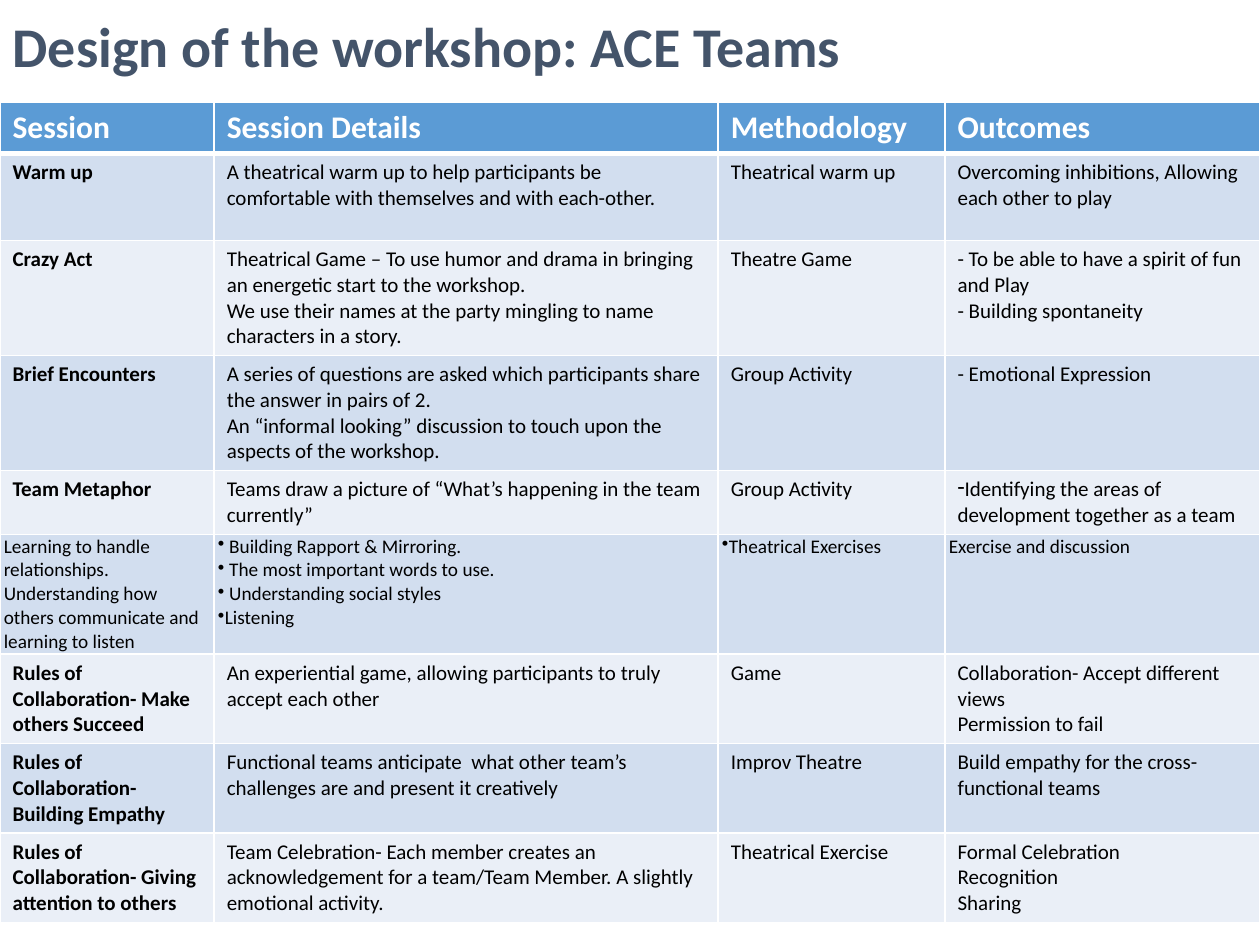
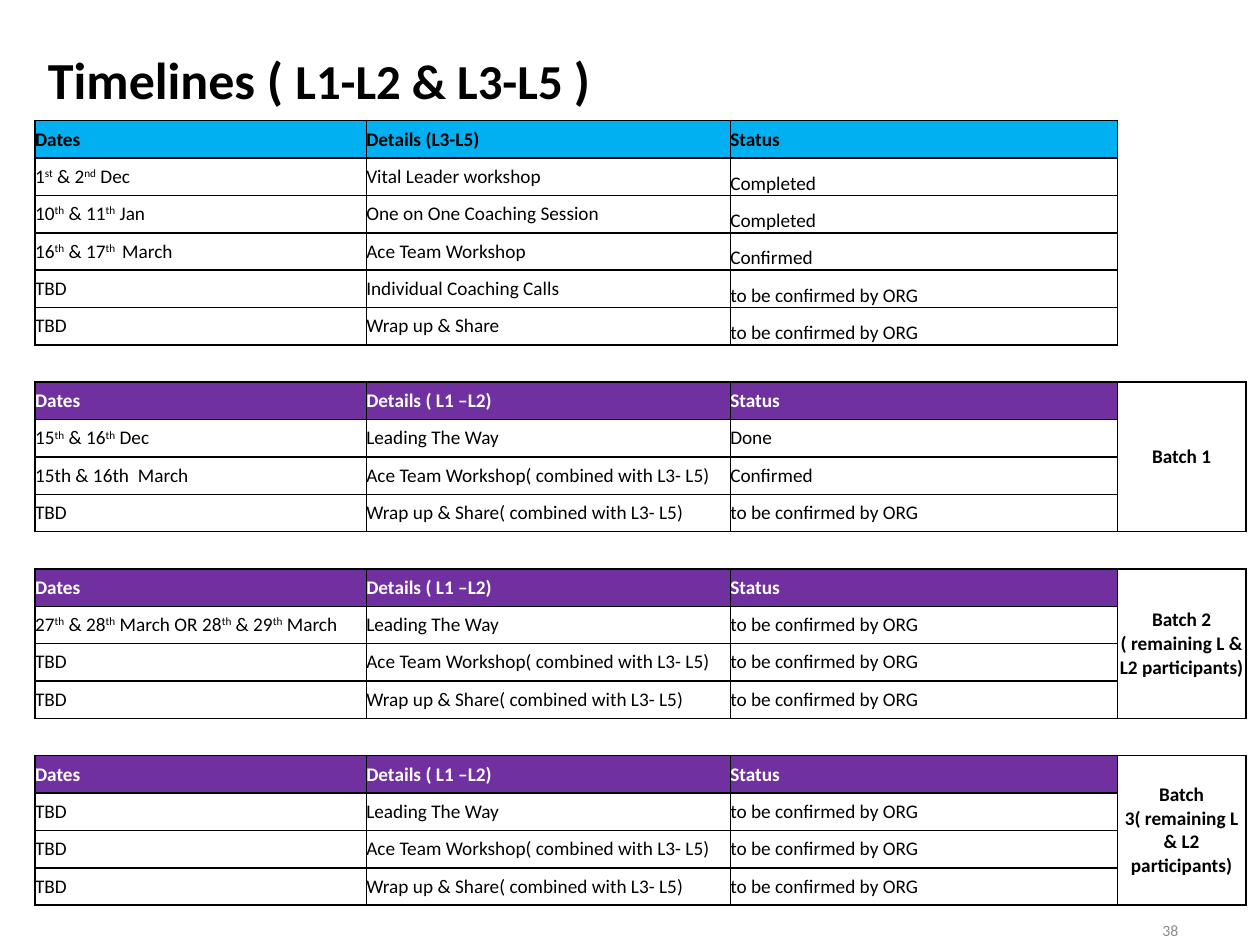
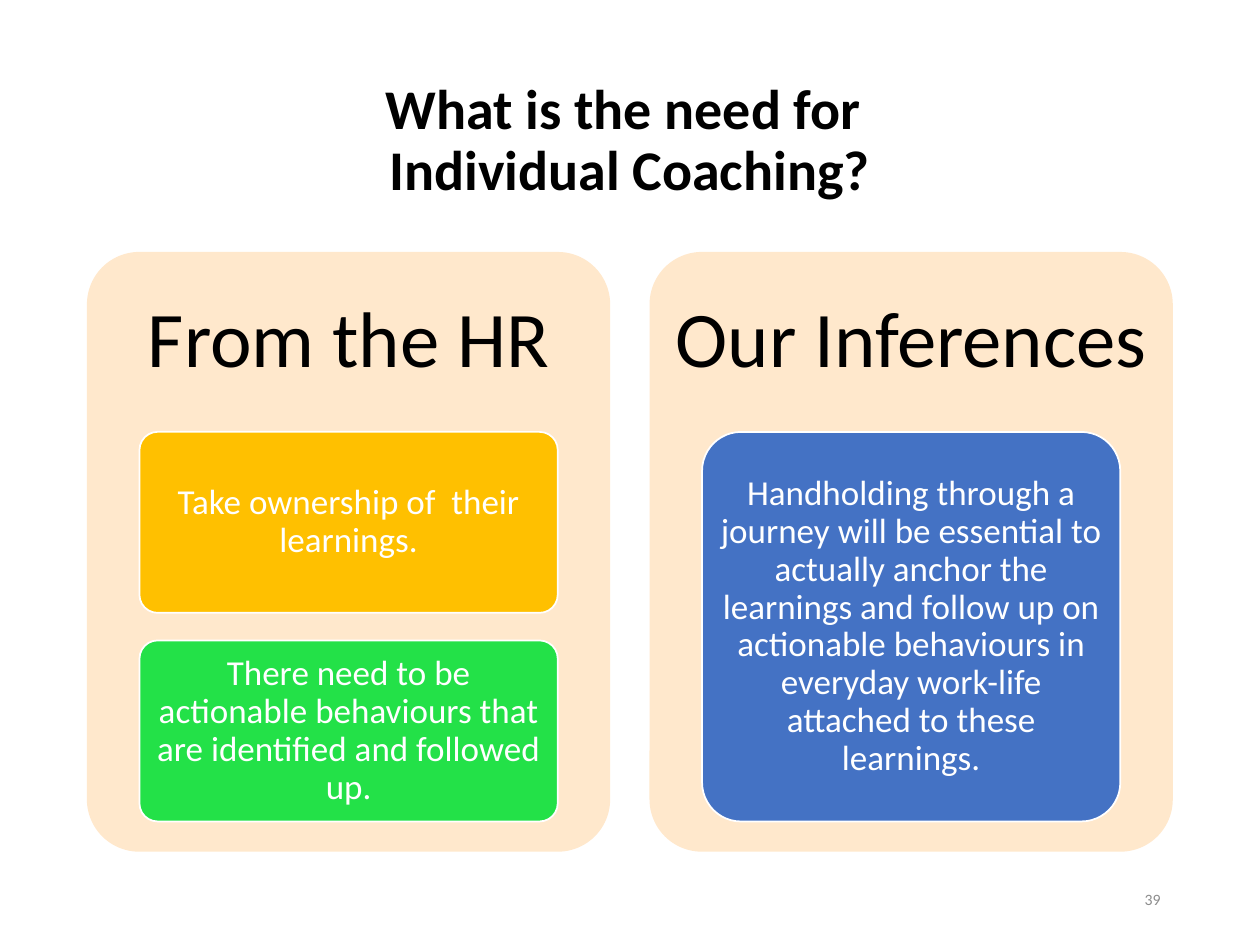
import lxml.etree
import pptx
import pptx.dml.color
import pptx.enum.shapes
import pptx.enum.text
import pptx.oxml.ns
import pptx.util

Pt = pptx.util.Pt
qn = pptx.oxml.ns.qn
ALIGN = pptx.enum.text.PP_ALIGN
ANCHOR = pptx.enum.text.MSO_ANCHOR

FONT = "Calibri"
COLORS = {
    "black": "000000", "white": "FFFFFF", "slate": "44546A", "grey": "8C8C8C",
    "header": "5B9BD5", "band": "D2DEEF", "band_light": "EAEFF7",
    "cyan": "00B0F0", "purple": "7030A0",
    "peach": "FFE8CC", "amber": "FFC000", "green": "23E148", "blue": "4472C4",
}

# Slide 1: lines in a cell are listed, and a (mark, text) pair is a bullet
WORKSHOP_TITLE = "Design of the workshop: ACE Teams"
WORKSHOP_COLUMNS = [122.4, 288, 129.6, 180]
WORKSHOP_HEIGHTS = [28.2, 49.7, 65.7, 65.7, 36, 68.4, 51, 51, 51]
COMPACT_ROW = 5
WORKSHOP_ROWS = [
    [["Session"], ["Session Details"], ["Methodology"], ["Outcomes"]],
    [["Warm up"],
     ["A theatrical warm up to help participants be comfortable with themselves and with each-other."],
     ["Theatrical warm up"],
     ["Overcoming inhibitions, Allowing each other to play"]],
    [["Crazy Act"],
     ["Theatrical Game – To use humor and drama in bringing an energetic start to the workshop.",
      "We use their names at the party mingling to name characters in a story."],
     ["Theatre Game"],
     ["- To be able to have a spirit of fun and Play", "- Building spontaneity"]],
    [["Brief Encounters"],
     ["A series of questions are asked which participants share the answer in pairs of 2.",
      "An “informal looking” discussion to touch upon the aspects of the workshop."],
     ["Group Activity"],
     ["- Emotional Expression"]],
    [["Team Metaphor"],
     ["Teams draw a picture of “What’s happening in the team currently”"],
     ["Group Activity"],
     [("-", "Identifying the areas of development together as a team")]],
    [["Learning to handle relationships. Understanding how others communicate and learning to listen"],
     [("•", " Building Rapport & Mirroring."), ("•", " The most important words to use."),
      ("•", " Understanding social styles"), ("•", "Listening")],
     [("•", "Theatrical Exercises")],
     ["Exercise and discussion"]],
    [["Rules of Collaboration- Make others Succeed"],
     ["An experiential game, allowing participants to truly accept each other"],
     ["Game"],
     ["Collaboration- Accept different views", "Permission to fail"]],
    [["Rules of Collaboration-Building Empathy"],
     ["Functional teams anticipate  what other team’s challenges are and present it creatively"],
     ["Improv Theatre"],
     ["Build empathy for the cross-functional teams"]],
    [["Rules of Collaboration- Giving attention to others"],
     ["Team Celebration- Each member creates an acknowledgement for a team/Team Member. "
      "A slightly emotional activity."],
     ["Theatrical Exercise"],
     ["Formal Celebration", "Recognition", "Sharing"]],
]

# Slide 2: text between ^ marks is superscript
TIMELINE_TITLE = [("Timelines ( ", 29.7), ("L1-L2 & L3-L5 ", 27.9), (")", 29.7)]
TIMELINE_COLUMNS = [189.3, 208, 221.2, 73.5]
TIMELINE_ROW_HEIGHT = 21.36
PENDING = "to be confirmed by ORG"
LEADING = "Leading The Way"
ACE = "Ace Team Workshop( combined with L3- L5)"
WRAP_UP = "Wrap up & Share( combined with L3- L5)"
TIMELINES = [
    {"details": "Details (L3-L5)", "fill": "cyan", "ink": "black", "batch": "",
     "rows": [("1^st^ & 2^nd^ Dec", "Vital Leader workshop", "Completed"),
              ("10^th^ & 11^th^ Jan", "One on One Coaching Session", "Completed"),
              ("16^th^ & 17^th ^ March", "Ace Team Workshop", "Confirmed"),
              ("TBD", "Individual Coaching Calls", PENDING),
              ("TBD", "Wrap up & Share", PENDING)]},
]
BATCHES = [
    ("Batch 1", [("15^th^ & 16^th^ Dec", "Done"), ("15th & 16th  March", "Confirmed"),
                 ("TBD", PENDING)]),
    ("Batch 2 ( remaining L & L2 participants)",
     [("27^th^ & 28^th^ March OR 28^th^ & 29^th^ March", PENDING),
      ("TBD", PENDING), ("TBD", PENDING)]),
    ("Batch 3( remaining L & L2 participants)", [("TBD", PENDING)] * 3),
]
for batch_name, batch_rows in BATCHES:
    TIMELINES.append({
        "details": "Details ( L1 –L2)", "fill": "purple", "ink": "white", "batch": batch_name,
        "rows": [(dates, step, status)
                 for (dates, status), step in zip(batch_rows, (LEADING, ACE, WRAP_UP))]})

# Slide 3
COACHING_TITLE = "What is the need for \vIndividual Coaching?"
COACHING_PANELS = [
    ("From the HR", [
        ("Take ownership of  their learnings.", "amber"),
        ("There need to be actionable behaviours that are identified and followed up.", "green")]),
    ("Our Inferences", [
        ("Handholding through a journey will be essential to actually anchor the learnings and "
         "follow up on actionable behaviours in everyday work-life attached to these learnings.",
         "blue")]),
]


def rgb(name):
    return pptx.dml.color.RGBColor.from_string(COLORS[name])


def style_span(span, size, color, bold=False):
    span.font.name = FONT
    span.font.size = Pt(size)
    span.font.color.rgb = rgb(color)
    span.font.bold = bold


def style_para(para, size, color, bold=False, align=ALIGN.LEFT, spacing=None):
    para.alignment = align
    if spacing:
        para.line_spacing = spacing
    for span in para.runs:
        style_span(span, size, color, bold)


def set_margins(holder, side, top):
    holder.margin_left = holder.margin_right = Pt(side)
    holder.margin_top = holder.margin_bottom = Pt(top)


def new_page(deck, place):
    """Add a title-only page and return it with the title's text frame."""
    page = deck.slides.add_slide(deck.slide_layouts[5])
    title = page.shapes.title
    title.left, title.top, title.width, title.height = (Pt(value) for value in place)
    frame = title.text_frame
    frame.auto_size = pptx.enum.text.MSO_AUTO_SIZE.NONE
    frame.vertical_anchor = ANCHOR.MIDDLE
    return page, frame


def add_label(page, text, place, size, color, align, side=7.2, top=3.6):
    box = page.shapes.add_textbox(*(Pt(value) for value in place))
    frame = box.text_frame
    frame.word_wrap = True
    frame.vertical_anchor = ANCHOR.MIDDLE
    set_margins(frame, side, top)
    frame.text = text
    style_para(frame.paragraphs[0], size, color, align=align, spacing=0.9)


def add_page_number(page, number, left, top):
    add_label(page, number, (left, top, 162, 28.8), 9, "grey", ALIGN.RIGHT)


def add_grid(page, left, top, widths, heights):
    frame = page.shapes.add_table(len(heights), len(widths), Pt(left), Pt(top),
                                  Pt(sum(widths)), Pt(sum(heights)))
    table = frame.table
    table.first_row = table.horz_banding = False
    for column, width in zip(table.columns, widths):
        column.width = Pt(width)
    for row, height in zip(table.rows, heights):
        row.height = Pt(height)
    return table


def paint_cell(cell, fill, line, widths):
    """Fill a cell and draw its borders; widths maps L, R, T, B to points."""
    if fill:
        cell.fill.solid()
        cell.fill.fore_color.rgb = rgb(fill)
    else:
        cell.fill.background()
    properties = cell._tc.get_or_add_tcPr()
    for index, side in enumerate("LRTB"):
        border = lxml.etree.Element(qn("a:ln" + side))
        if side in widths:
            border.set("w", str(Pt(widths[side])))
            solid = lxml.etree.SubElement(border, qn("a:solidFill"))
            lxml.etree.SubElement(solid, qn("a:srgbClr"), val=COLORS[line])
        else:
            lxml.etree.SubElement(border, qn("a:noFill"))
        properties.insert(index, border)


def add_bullet(para, mark):
    properties = para._p.get_or_add_pPr()
    properties.set("marL", "0")
    properties.set("indent", "0")
    lxml.etree.SubElement(properties, qn("a:buChar"), char=mark)


def build_workshop(deck):
    page, title = new_page(deck, (0, 0, 720, 56.2))
    title.text = WORKSHOP_TITLE
    style_para(title.paragraphs[0], 32, "slate", True, spacing=0.9)

    table = add_grid(page, 0, 58.6, WORKSHOP_COLUMNS, WORKSHOP_HEIGHTS)
    for r, row in enumerate(WORKSHOP_ROWS):
        header, compact = r == 0, r == COMPACT_ROW
        fill = "header" if header else "band" if r % 2 else "band_light"
        size = 18 if header else 11 if compact else 12
        for c, lines in enumerate(row):
            cell = table.cell(r, c)
            if compact:
                set_margins(cell, 2.16, 0)
            widths = {"L": 1, "R": 1, "T": 3 if r == 1 else 1, "B": 3 if header else 1}
            paint_cell(cell, fill, "white", widths)
            marks = [line[0] if isinstance(line, tuple) else "" for line in lines]
            cell.text_frame.text = "\n".join(
                line[1] if isinstance(line, tuple) else line for line in lines)
            for para, mark in zip(cell.text_frame.paragraphs, marks):
                if mark:
                    add_bullet(para, mark)
                style_para(para, size, "white" if header else "black",
                           header or (c == 0 and not compact))


def write_cell(cell, text, color="black", bold=False, align=ALIGN.LEFT, anchor=ANCHOR.MIDDLE):
    cell.vertical_anchor = anchor
    para = cell.text_frame.paragraphs[0]
    for index, part in enumerate(text.split("^")):
        span = para.add_run()
        span.text = part
        if index % 2:
            span._r.get_or_add_rPr().set("baseline", "30000")
    style_para(para, 11, color, bold, align)


def build_timelines(deck):
    page, title = new_page(deck, (20.2, 25.9, 638, 42.5))
    para = title.paragraphs[0]
    para.alignment = ALIGN.LEFT
    para.line_spacing = 0.9
    for text, size in TIMELINE_TITLE:
        span = para.add_run()
        span.text = text
        style_span(span, size, "black", True)
    add_page_number(page, "38", 518.4, 517.7)

    # One table holds all blocks, with a spacer row between them
    row_count = sum(len(block["rows"]) + 2 for block in TIMELINES) - 1
    table = add_grid(page, 20, 69, TIMELINE_COLUMNS, [TIMELINE_ROW_HEIGHT] * row_count)
    for row in table.rows:
        for cell in row.cells:
            set_margins(cell, 0, 0)

    top = 0
    for block in TIMELINES:
        rows = [("Dates", block["details"], "Status")] + block["rows"]
        for r, texts in enumerate(rows):
            for c, text in enumerate(texts):
                cell = table.cell(top + r, c)
                header = r == 0
                paint_cell(cell, block["fill"] if header else None, "black",
                           dict.fromkeys("LRTB", 1))
                low = not header and c == 2 and not block["batch"]
                write_cell(cell, text, block["ink"] if header else "black", header,
                           anchor=ANCHOR.BOTTOM if low else ANCHOR.MIDDLE)
            paint_cell(table.cell(top + r, 3), None, "black",
                       dict.fromkeys("LRTB" if block["batch"] else "L", 1))
        end = top + len(rows)
        if block["batch"]:
            table.cell(top, 3).merge(table.cell(end - 1, 3))
            write_cell(table.cell(top, 3), block["batch"], bold=True, align=ALIGN.CENTER)
        if end < row_count:
            for c in range(4):
                sides = "TB" if c < 3 or block["batch"] else "B"
                paint_cell(table.cell(end, c), None, "black", dict.fromkeys(sides, 1))
        top = end + 1

    # Empty cells need a small type size to keep their row height
    for row in table.rows:
        for cell in row.cells:
            if not cell.text_frame.text:
                lxml.etree.SubElement(cell.text_frame.paragraphs[0]._p,
                                      qn("a:endParaRPr"), sz="1100")


def add_card(page, place, fill, line=None):
    card = page.shapes.add_shape(pptx.enum.shapes.MSO_SHAPE.ROUNDED_RECTANGLE,
                                 *(Pt(value) for value in place))
    card.adjustments[0] = 0.1
    card.shadow.inherit = False
    card.fill.solid()
    card.fill.fore_color.rgb = rgb(fill)
    if line:
        card.line.color.rgb = rgb(line)
        card.line.width = Pt(1)
    else:
        card.line.fill.background()
    return card


def build_coaching(deck):
    page, title = new_page(deck, (49.5, 28.8, 621, 104.4))
    title.text = COACHING_TITLE
    style_para(title.paragraphs[0], 32, "black", True, ALIGN.CENTER, 0.9)

    panel_width, panel_height, panel_top, panel_gap = 299, 342.7, 144, 22.5
    heading_height, card_width, card_area, card_gap = 102.8, 239, 222.6, 15.8
    for index, (heading, cards) in enumerate(COACHING_PANELS):
        left = 49.7 + index * (panel_width + panel_gap)
        add_card(page, (left, panel_top, panel_width, panel_height), "peach")
        add_label(page, heading, (left, panel_top, panel_width, heading_height),
                  45, "black", ALIGN.CENTER, 13.5, 13.5)
        height = (card_area - card_gap * (len(cards) - 1)) / len(cards)
        for step, (text, fill) in enumerate(cards):
            card_top = panel_top + heading_height + step * (height + card_gap)
            card_left = left + (panel_width - card_width) / 2
            card = add_card(page, (card_left, card_top, card_width, height), fill, "white")
            frame = card.text_frame
            frame.word_wrap = True
            frame.vertical_anchor = ANCHOR.MIDDLE
            set_margins(frame, 4, 3)
            frame.text = text
            style_para(frame.paragraphs[0], 20, "white", align=ALIGN.CENTER, spacing=0.9)
    add_page_number(page, "39", 508.3, 500.4)


def main():
    deck = pptx.Presentation()
    deck.slide_width, deck.slide_height = Pt(720), Pt(540)
    build_workshop(deck)
    build_timelines(deck)
    build_coaching(deck)
    deck.save("out.pptx")


if __name__ == "__main__":
    main()
